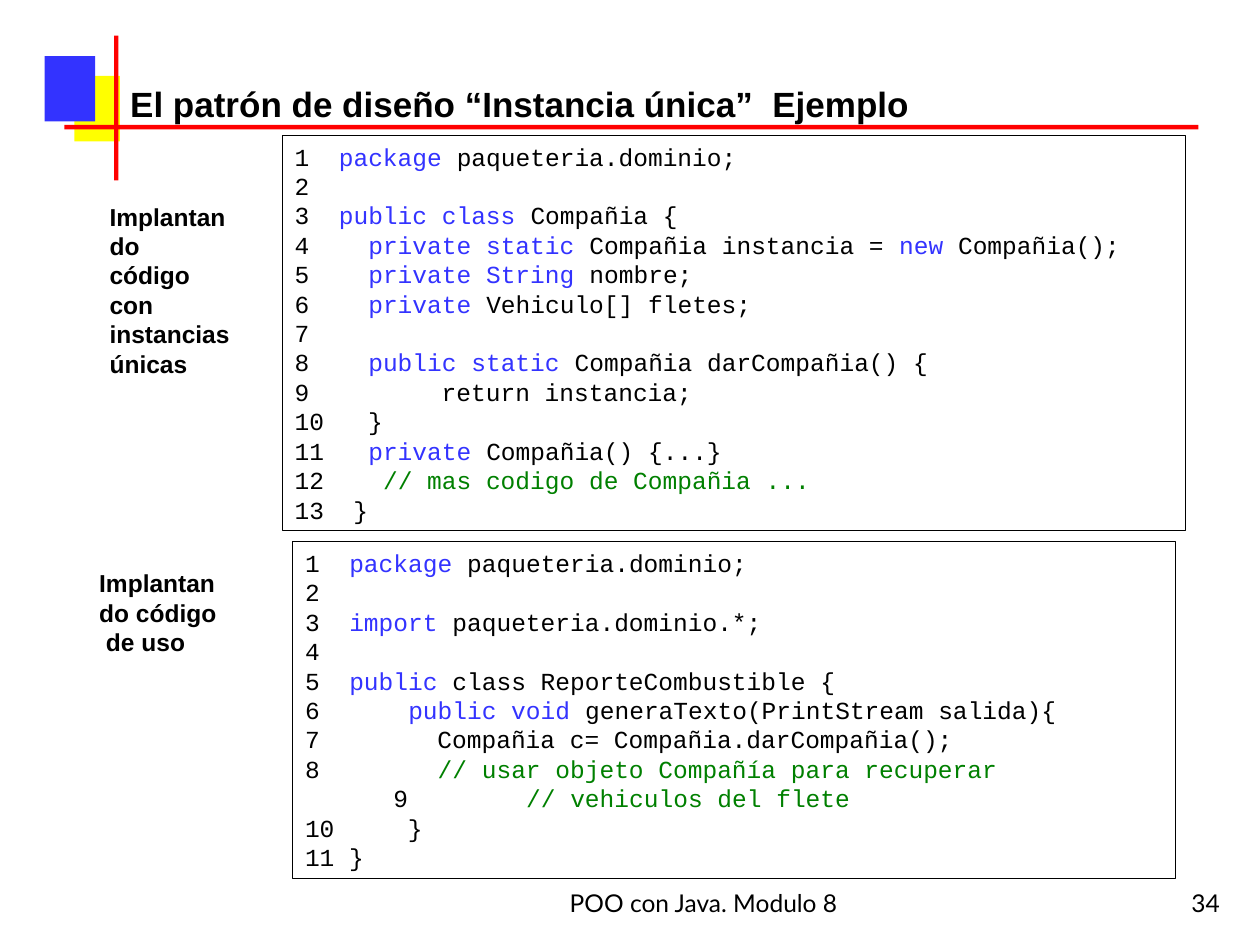
from pptx import Presentation
from pptx.dml.color import RGBColor
from pptx.enum.shapes import MSO_SHAPE
from pptx.enum.text import MSO_ANCHOR, PP_ALIGN
from pptx.util import Cm, Pt

RECT = MSO_SHAPE.RECTANGLE
TOP, BOTTOM = MSO_ANCHOR.TOP, MSO_ANCHOR.BOTTOM
LEFT, CENTER, RIGHT = PP_ALIGN.LEFT, PP_ALIGN.CENTER, PP_ALIGN.RIGHT
BLACK = RGBColor(0x00, 0x00, 0x00)
BLUE = RGBColor(0x33, 0x33, 0xFF)
YELLOW = RGBColor(0xFF, 0xFF, 0x00)
RED = RGBColor(0xFF, 0x00, 0x00)
GREEN = RGBColor(0x00, 0x80, 0x00)

SINGLETON_CODE = """\
1  |package| paqueteria.dominio;
2
3  |public class| Compañia {
4    |private static| Compañia instancia = |new| Compañia();
5    |private String| nombre;
6    |private| Vehiculo[] fletes;
7
8    |public static| Compañia darCompañia() {
9         return instancia;
10   }
11   |private| Compañia() {...}
12    |// mas codigo de Compañia ...
13  }"""

USAGE_CODE = """\
1  |package| paqueteria.dominio;
2
3  |import| paqueteria.dominio.*;
4
5  |public| class ReporteCombustible {
6      |public void| generaTexto(PrintStream salida){
7        Compañia c= Compañia.darCompañia();
8        |// usar objeto Compañía para recuperar
      9        |// vehiculos del flete
10     }
11 }"""


def format_paragraph(p, font, size, bold=False, align=LEFT):
    p.alignment = align
    p.line_spacing = Pt(size * 1.2)
    p.font.name = font
    p.font.size = Pt(size)
    p.font.bold = bold
    p.font.color.rgb = BLACK


def write_text(s, text, font, size, bold=False, align=LEFT, anchor=TOP):
    tf = s.text_frame
    tf.word_wrap = True
    tf.vertical_anchor = anchor
    p = tf.paragraphs[0]
    p.text = text
    format_paragraph(p, font, size, bold, align)


prs = Presentation()
prs.slide_width, prs.slide_height = Cm(25.4), Cm(19.05)
slide = prs.slides.add_slide(prs.slide_layouts[5])
shapes = slide.shapes

for left, top, width, height, color in (
    (1.5, 1.53, 0.92, 1.32, YELLOW),
    (0.9, 1.13, 1.02, 1.32, BLUE),
    (2.3, 0.72, 0.09, 2.92, RED),
    (1.3, 2.52, 22.86, 0.09, RED),
):
    s = shapes.add_shape(RECT, Cm(left), Cm(top), Cm(width), Cm(height))
    s.shadow.inherit = False
    s.fill.solid()
    s.fill.fore_color.rgb = color
    s.line.fill.background()

title = shapes.title
title.left, title.top, title.width, title.height = Cm(2.37), Cm(1.53), Cm(17.52), Cm(1.1)
write_text(title, "El patrón de diseño “Instancia única”  Ejemplo", "Arial", 20, True)

for left, top, width, height, code in (
    (5.69, 2.73, 18.21, 7.97, SINGLETON_CODE),
    (5.9, 10.92, 17.8, 6.79, USAGE_CODE),
):
    s = shapes.add_shape(RECT, Cm(left), Cm(top), Cm(width), Cm(height))
    s.shadow.inherit = False
    s.fill.background()
    s.line.color.rgb = BLACK
    s.line.width = Pt(0.75)
    tf = s.text_frame
    tf.word_wrap = True
    tf.vertical_anchor = TOP
    for i, line in enumerate(code.split("\n")):
        p = tf.add_paragraph() if i else tf.paragraphs[0]
        format_paragraph(p, "Courier New", 14)
        for j, part in enumerate(line.split("|")):
            r = p.add_run()
            r.text = part
            if j % 2:
                r.font.color.rgb = GREEN if part.startswith("//") else BLUE
            else:
                r.font.color.rgb = BLACK

for left, top, height, text in (
    (1.96, 3.94, 3.81, "Implantando  código con instancias únicas"),
    (1.75, 11.33, 2.03, "Implantando código  de uso"),
):
    s = shapes.add_textbox(Cm(left), Cm(top), Cm(2.95), Cm(height))
    write_text(s, text, "Arial", 14, True)

for left, width, text, align in (
    (10.16, 8.05, "POO con Java. Modulo 8", CENTER),
    (19.56, 5.28, "34", RIGHT),
):
    s = shapes.add_textbox(Cm(left), Cm(17.35), Cm(width), Cm(1.27))
    write_text(s, text, "Lato", 14, align=align, anchor=BOTTOM)

prs.save("out.pptx")
